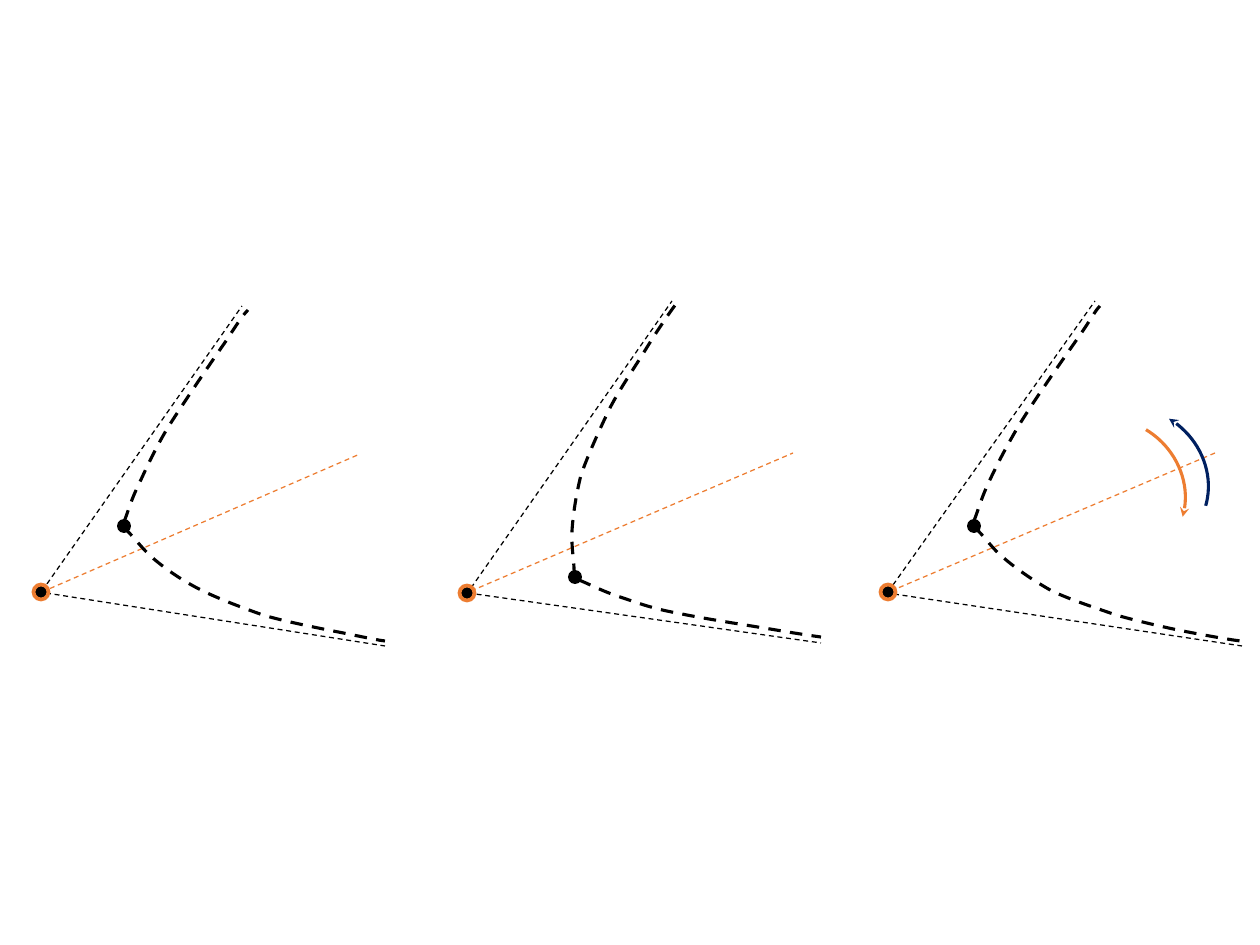
from lxml import etree
from pptx import Presentation
from pptx.dml.color import RGBColor
from pptx.enum.dml import MSO_LINE
from pptx.enum.shapes import MSO_CONNECTOR, MSO_SHAPE
from pptx.oxml.ns import qn
from pptx.util import Pt

PX = 10160
DASH = MSO_LINE.DASH
STRAIGHT = MSO_CONNECTOR.STRAIGHT
OVAL = MSO_SHAPE.OVAL
ARC = MSO_SHAPE.ARC
BLACK, ORANGE, NAVY = "000000", "ED7D31", "002060"
CORE, DOT = 15, 14

PANELS = [
    {
        "core": (41, 592),
        "dot": (124, 526),
        "edges": [(42, 591, 242, 306), (46, 593, 385, 646)],
        "axis": (42, 592, 360, 454),
        "curves": [
            [(123, 527), (132, 534), (141, 548), (154, 559),
             (167, 570), (183, 581), (201, 590),
             (219, 599), (243, 608), (263, 615),
             (283, 621), (313, 627), (333, 631),
             (354, 635), (376, 640), (385, 641)],
            [(124, 522), (128, 512), (131, 500), (139, 484),
             (146, 469), (153, 453), (167, 429),
             (182, 405), (212, 361), (226, 341),
             (239, 321), (243, 315), (248, 310)],
        ],
    },
    {
        "core": (467, 593),
        "dot": (575, 577),
        "edges": [(471, 588, 672, 301), (468, 593, 821, 643)],
        "axis": (471, 591, 793, 453),
        "curves": [
            [(574, 576), (575, 565), (571, 548), (572, 531),
             (573, 515), (576, 495), (581, 475),
             (588, 455), (599, 431), (608, 412),
             (617, 393), (635, 367), (646, 349),
             (657, 331), (670, 312), (676, 304)],
            [(579, 580), (589, 584), (600, 590), (617, 596),
             (633, 601), (649, 608), (677, 613),
             (705, 619), (759, 627), (782, 631),
             (806, 635), (814, 636), (821, 637)],
        ],
    },
    {
        "core": (888, 592),
        "dot": (974, 526),
        "edges": [(888, 592, 1095, 301), (894, 594, 1242, 646)],
        "axis": (891, 591, 1215, 453),
        "curves": [
            [(974, 527), (983, 534), (992, 549), (1005, 559),
             (1018, 570), (1034, 581), (1052, 591),
             (1071, 600), (1096, 608), (1116, 615),
             (1137, 621), (1167, 628), (1188, 632),
             (1209, 636), (1231, 640), (1241, 641)],
            [(974, 521), (978, 511), (981, 499), (989, 482),
             (996, 467), (1004, 451), (1018, 427),
             (1033, 402), (1064, 358), (1078, 338),
             (1092, 318), (1095, 311), (1100, 306)],
        ],
    },
]


def color(code):
    return RGBColor.from_string(code)


def stroke(line, code, width, dash=None):
    line.color.rgb = color(code)
    line.width = Pt(width)
    if dash is not None:
        line.dash_style = dash


def add_ray(shapes, ends, code):
    ray = shapes.add_connector(STRAIGHT, *(v * PX for v in ends))
    stroke(ray.line, code, 1, DASH)
    etree.SubElement(ray._element.spPr, qn("a:effectLst"))


def add_curve(shapes, points):
    maker = shapes.build_freeform(*points[0], scale=PX)
    maker.add_line_segments(points[1:], close=False)
    curve = maker.convert_to_shape()
    steps = list(curve._element.iter(qn("a:lnTo")))
    for i in range(0, len(steps), 3):
        bend = etree.Element(qn("a:cubicBezTo"))
        steps[i].addprevious(bend)
        for step in steps[i:i + 3]:
            bend.append(step[0])
            step.getparent().remove(step)
    curve.fill.background()
    stroke(curve.line, BLACK, 2.5, DASH)
    curve.shadow.inherit = False


def add_disc(shapes, center, size, rim=None):
    x, y = (int((v - size / 2) * PX) for v in center)
    disc = shapes.add_shape(OVAL, x, y, size * PX, size * PX)
    disc.fill.solid()
    disc.fill.fore_color.rgb = color(BLACK)
    if rim:
        stroke(disc.line, rim, 3)
    else:
        disc.line.fill.background()
    disc.shadow.inherit = False


def add_turn(shapes, left, top, code, end):
    turn = shapes.add_shape(ARC, left * PX, top * PX, 153 * PX, 141 * PX)
    turn.adjustments[0] = 154.62
    turn.adjustments[1] = 202.85
    turn.rotation = 41.5
    turn.fill.background()
    stroke(turn.line, code, 2.5)
    tip = etree.SubElement(turn.line._get_or_add_ln(), qn(f"a:{end}"))
    tip.set("type", "stealth")
    turn.shadow.inherit = False


def add_panel(shapes, panel):
    for ends in panel["edges"]:
        add_ray(shapes, ends, BLACK)
    add_ray(shapes, panel["axis"], ORANGE)
    for points in panel["curves"]:
        add_curve(shapes, points)
    add_disc(shapes, panel["dot"], DOT)
    add_disc(shapes, panel["core"], CORE, ORANGE)


def main():
    deck = Presentation()
    deck.slide_width, deck.slide_height = 1260 * PX, 945 * PX
    shapes = deck.slides.add_slide(deck.slide_layouts[6]).shapes
    for panel in PANELS:
        add_panel(shapes, panel)
    add_turn(shapes, 1035, 421, ORANGE, "tailEnd")
    add_turn(shapes, 1058, 410, NAVY, "headEnd")
    deck.save("out.pptx")


if __name__ == "__main__":
    main()
